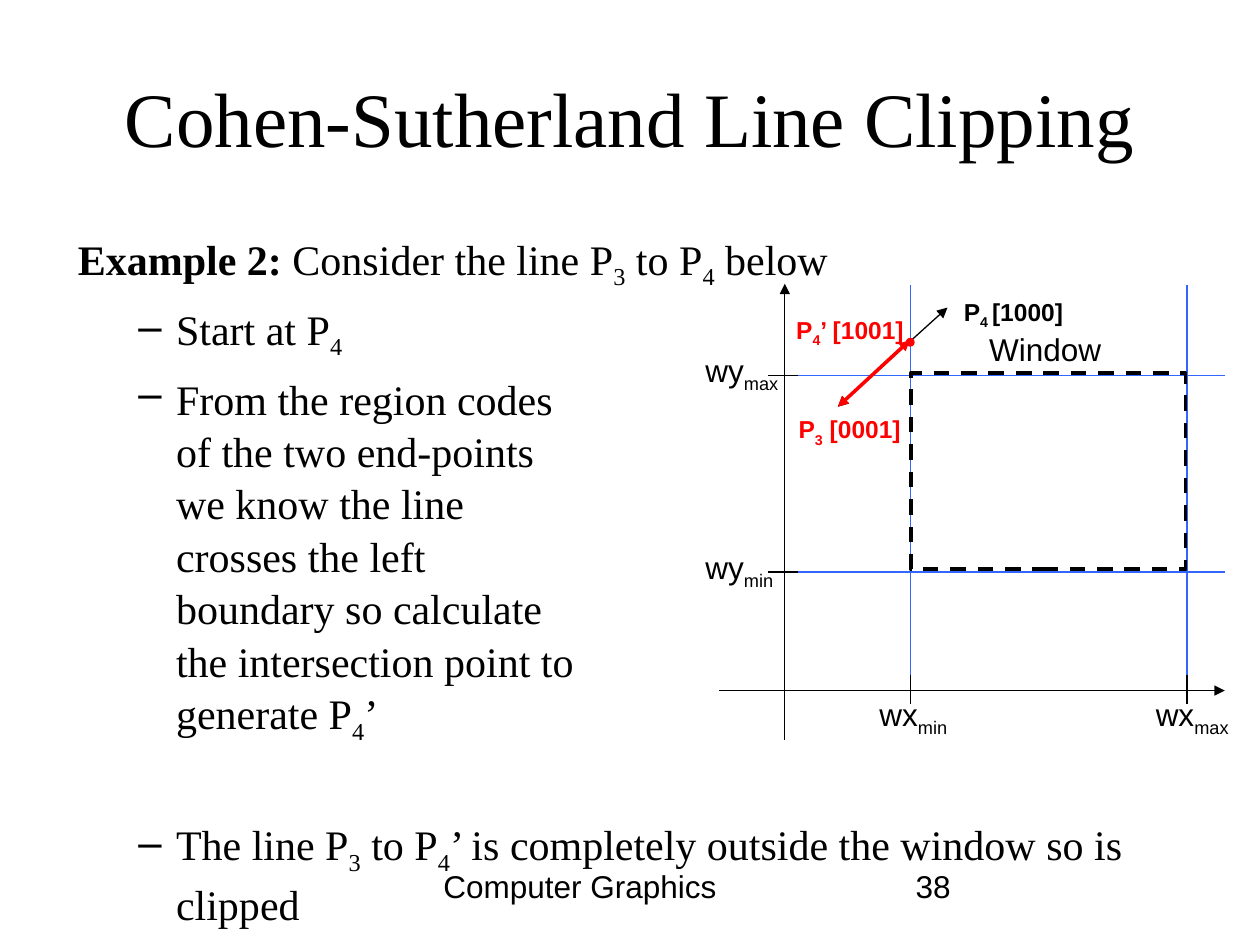
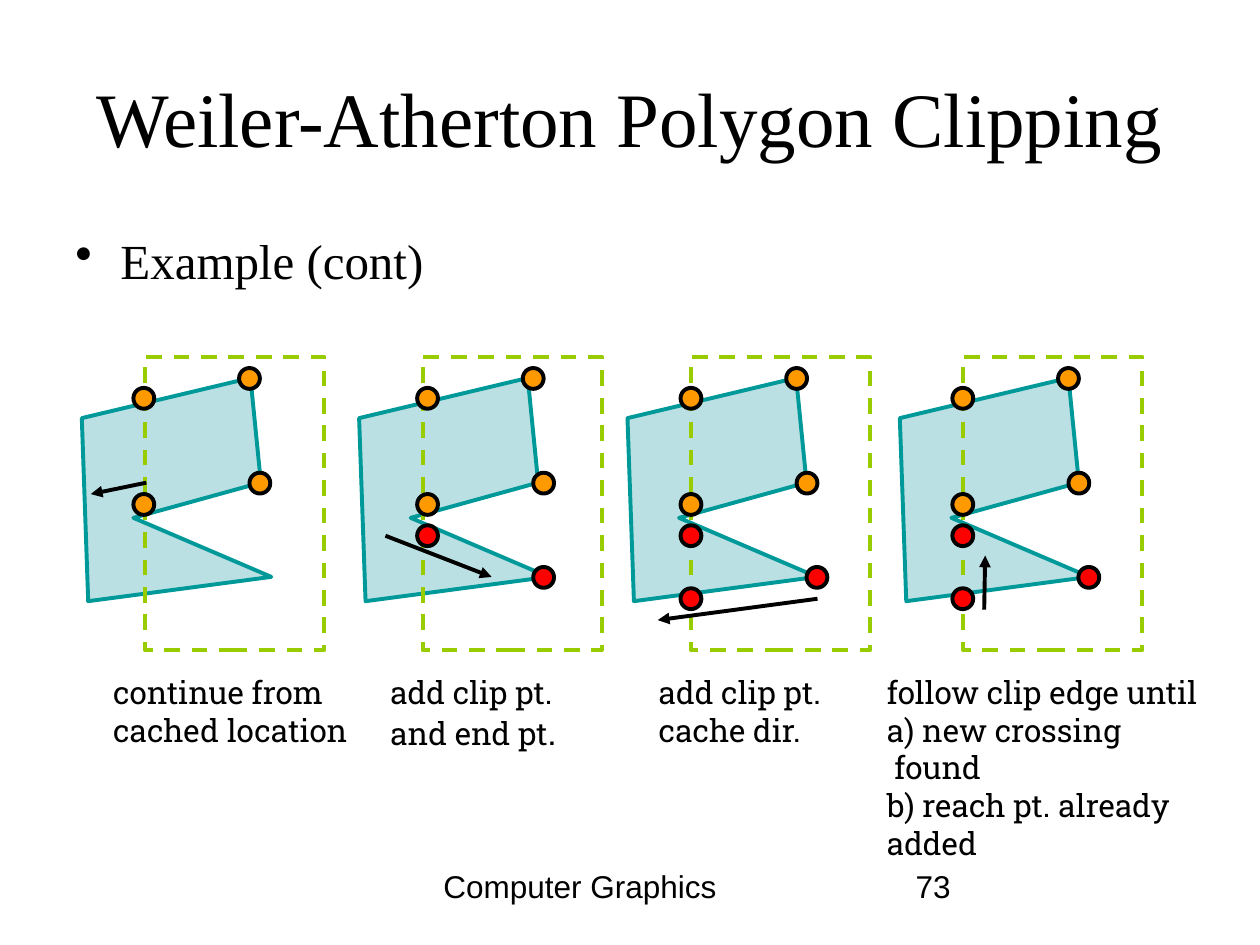
from lxml import etree
from pptx import Presentation
from pptx import util as u
from pptx.dml.color import RGBColor
from pptx.enum import dml, shapes, text
from pptx.oxml.ns import qn

BLACK = RGBColor(0x00, 0x00, 0x00)
RED = RGBColor(0xFF, 0x00, 0x00)
BLUE = RGBColor(0x33, 0x66, 0xFF)
TEAL = RGBColor(0x00, 0x99, 0x99)
PALE = RGBColor(0xBB, 0xE0, 0xE3)
GREEN = RGBColor(0x99, 0xCC, 0x00)
ORANGE = RGBColor(0xFF, 0x99, 0x00)

SERIF, SANS, SLAB = "Times New Roman", "Arial", "Roboto Slab"


class Deck:
    """Holds the shared style and the slide being drawn."""

    def __init__(self):
        self.prs = Presentation()
        self.prs.slide_width, self.prs.slide_height = u.Cm(25.4), u.Cm(19.05)
        self.slide = None

    def start(self, title, number):
        """Add a slide with its title and footer."""
        self.slide = self.prs.slides.add_slide(self.prs.slide_layouts[5])
        head = self.slide.shapes.title
        head.left, head.top = u.Cm(1.27), u.Cm(0.76)
        head.width, head.height = u.Cm(22.86), u.Cm(3.18)
        head.text_frame.vertical_anchor = text.MSO_ANCHOR.MIDDLE
        par = head.text_frame.paragraphs[0]
        par.alignment = text.PP_ALIGN.CENTER
        self.run(par, title, 44, SERIF)
        self.label(8.69, 17.35, 8.03, ["Computer Graphics"])
        self.label(18.21, 17.35, 5.89, [number])

    def run(self, par, words, size, font, color=BLACK, bold=False, sub=False):
        run = par.add_run()
        run.text = words
        run.font.size, run.font.name = u.Pt(size), font
        run.font.bold, run.font.color.rgb = bold, color
        if sub:
            run.font._element.set("baseline", "-25000")

    def runs(self, par, words, *style):
        """Add words; bars enclose subscripts and newlines break lines."""
        for i, part in enumerate(words.split("|")):
            for j, line in enumerate(part.split("\n")):
                if j:
                    par.add_line_break()
                if line:
                    self.run(par, line, *style, sub=i % 2 == 1)

    def box(self, x, y, w, h):
        frame = self.slide.shapes.add_textbox(
            u.Cm(x), u.Cm(y), u.Cm(w), u.Cm(h)).text_frame
        frame.word_wrap = True
        return frame

    def par(self, frame, first, left=0, hang=0, bullet=None):
        """Give the next paragraph, with its indent and bullet."""
        par = frame.paragraphs[0] if first else frame.add_paragraph()
        props = par._p.get_or_add_pPr()
        props.set("marL", str(int(u.Cm(left))))
        props.set("indent", str(-int(u.Cm(hang))))
        if bullet:
            etree.SubElement(props, qn("a:buChar")).set("char", bullet)
        return par

    def label(self, x, y, w, lines, size=18, font=SANS, color=BLACK,
              bold=False, left=0):
        frame = self.box(x, y, w, 0.7 * len(lines) + 0.3)
        for i, words in enumerate(lines):
            self.runs(self.par(frame, i == 0, left), words,
                      size, font, color, bold)
        return frame

    def line(self, x1, y1, x2, y2, color=BLACK, width=0.75, ends=()):
        link = self.slide.shapes.add_connector(
            shapes.MSO_CONNECTOR.STRAIGHT,
            u.Cm(x1), u.Cm(y1), u.Cm(x2), u.Cm(y2))
        link.line.color.rgb, link.line.width = color, u.Pt(width)
        for end in ends:
            etree.SubElement(link.line._get_or_add_ln(),
                             qn("a:" + end)).set("type", "triangle")
        etree.SubElement(link._element.spPr, qn("a:effectLst"))

    def paint(self, shape, fill=None, edge=None, dash=False):
        shape.shadow.inherit = False
        if fill is None:
            shape.fill.background()
        else:
            shape.fill.solid()
            shape.fill.fore_color.rgb = fill
        if edge is None:
            shape.line.fill.background()
        else:
            shape.line.color.rgb, shape.line.width = edge, u.Pt(2.25)
        if dash:
            shape.line.dash_style = dml.MSO_LINE.DASH

    def frame(self, x, y, w, h, edge):
        rect = self.slide.shapes.add_shape(
            shapes.MSO_SHAPE.RECTANGLE, u.Cm(x), u.Cm(y), u.Cm(w), u.Cm(h))
        self.paint(rect, edge=edge, dash=True)

    def dot(self, x, y, size, fill, edge=None):
        disc = self.slide.shapes.add_shape(
            shapes.MSO_SHAPE.OVAL, u.Cm(x), u.Cm(y), u.Cm(size), u.Cm(size))
        self.paint(disc, fill, edge)

    def shape(self, points, fill, edge):
        start, *rest = [(u.Cm(x), u.Cm(y)) for x, y in points]
        pen = self.slide.shapes.build_freeform(*start)
        pen.add_line_segments(rest, close=True)
        self.paint(pen.convert_to_shape(), fill, edge)


def cohen(deck):
    deck.start("Cohen-Sutherland Line Clipping", "38")

    # Worked example
    frame = deck.box(1.27, 4.53, 23.5, 13.97)
    par = deck.par(frame, True, 0.05)
    par.line_spacing = 1.04
    deck.run(par, "Example 2: ", 24, SERIF, bold=True)
    deck.runs(par, "Consider the line P|3| to P|4| below", 24, SERIF)
    steps = [
        ("Start at P|4|", 6),
        ("From the region codes\nof the two end-points\nwe know the line\n"
         "crosses the left\nboundary so calculate\n"
         "the intersection point to\ngenerate P|4|’", 6),
        ("The line P|3| to P|4|’ is completely outside the window "
         "so is clipped", 40.8),
    ]
    for words, gap in steps:
        par = deck.par(frame, False, 2.03, 0.76, "–")
        par.space_before, par.line_spacing = u.Pt(gap), 1.04
        deck.runs(par, words, 24, SERIF)

    # Window edges, extended, with ticks and names
    edges_x = [(18.36, "min"), (23.93, "max")]
    edges_y = [(7.57, "max"), (11.53, "min")]
    for x, name in edges_x:
        deck.line(x, 5.74, x, 13.7, BLUE)
        deck.line(x, 13.61, x, 14.2)
        deck.label(x - 0.88, 13.89, 2.2, [f"wx|{name}|"])
    for y, name in edges_y:
        deck.line(24.7, y, 15.95, y, BLUE)
        deck.line(16.08, y, 15.49, y)
        deck.label(13.97, y - 0.61, 2.2, [f"wy|{name}|"])

    # Axes and window
    deck.line(14.5, 13.92, 24.69, 13.92, ends=["tailEnd"])
    deck.line(15.82, 14.91, 15.82, 5.72, ends=["tailEnd"])
    deck.frame(18.36, 7.52, 5.54, 3.96, BLACK)
    deck.label(19.69, 6.53, 3, ["Window"])

    # Line P3 to P4 and the part up to the left boundary
    both = ["headEnd", "tailEnd"]
    deck.line(16.89, 8.2, 19.1, 6.2, ends=both)
    deck.dot(18.26, 6.81, 0.18, RED)
    deck.line(16.89, 8.2, 18.34, 6.86, RED, 2, both)
    for x, y, words, color in [(15.8, 6.22, "P|4|’ [1001]", RED),
                               (15.85, 8.23, "P|3| [0001]", RED),
                               (19.18, 5.87, "P|4 |[1000]", BLACK)]:
        deck.label(x, y, 3, [words], 14, color=color, bold=True)


def weiler(deck):
    deck.start("Weiler-Atherton Polygon Clipping", "73")
    par = deck.par(deck.box(1.27, 4.53, 22.86, 1.5), True, 0.91, 0.91, "•")
    deck.runs(par, "Example (cont)", 28, SERIF)

    # Stages: polygon left, dots left, red dots, arrow
    outline = [(0, 8.43), (3.4, 7.62), (3.61, 9.73),
               (1.04, 10.44), (3.82, 11.63), (0.13, 12.12)]
    found = [(0, 7.82), (2.13, 7.42), (2.34, 9.53), (0, 9.96)]
    cross, tip, low = (0, 10.59), (2.54, 11.43), (0, 11.86)
    stages = [
        (1.65, 2.69, [], (2.95, 9.73, 1.83, 9.96)),
        (7.24, 8.41, [cross, (2.34, 11.43)], (7.77, 10.8, 9.91, 11.63)),
        (12.65, 13.72, [cross, tip, low], (16.48, 12.07, 13.26, 12.5)),
        (18.14, 19.2, [cross, tip, low], (19.84, 12.29, 19.86, 11.2)),
    ]
    for left, base, added, arrow in stages:
        deck.shape([(left + x, y) for x, y in outline], PALE, TEAL)
        deck.frame(left + 1.28, 7.19, 3.61, 5.92, GREEN)
        deck.line(*arrow, width=2.25, ends=["tailEnd"])
        for spots, fill in [(found, ORANGE), (added, RED)]:
            for x, y in spots:
                deck.dot(base + x, y, 0.42, fill, BLACK)

    # Captions
    top = 13.44
    deck.label(2.03, top, 5.5, ["continue from", "cached location"], font=SLAB)
    ending = deck.label(7.62, top, 4.5, ["add clip pt.", "and end pt"], font=SLAB)
    deck.run(ending.paragraphs[1], ".", 20, SLAB)
    deck.label(13.03, top, 4.4, ["add clip pt.", "cache dir."], font=SLAB)
    rules = deck.label(17.58, top, 7.8, [
        "follow clip edge until", "a) new crossing", "found",
        "b) reach pt. already", "added"], font=SLAB, left=0.05)
    rules.paragraphs[2]._p.pPr.set("marL", str(int(u.Cm(0.2))))


def main():
    deck = Deck()
    cohen(deck)
    weiler(deck)
    deck.prs.save("out.pptx")


if __name__ == "__main__":
    main()
